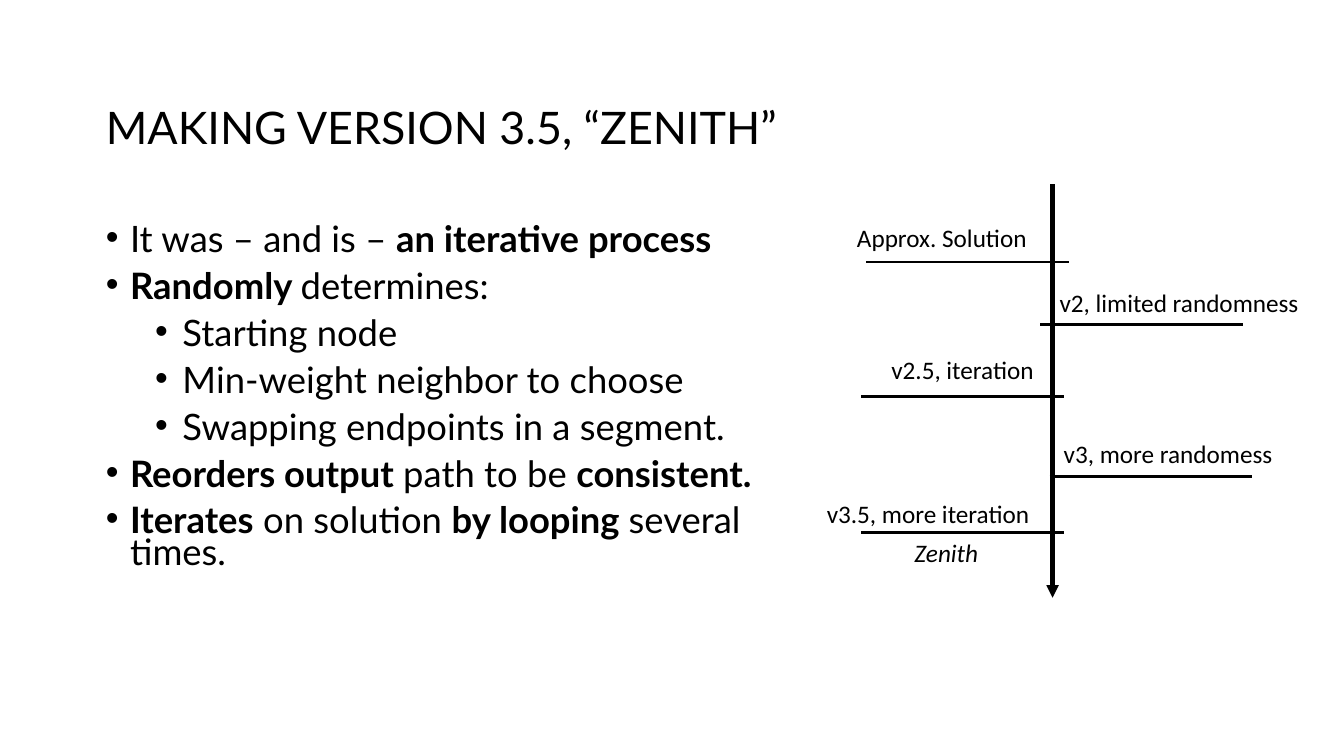
from lxml.etree import SubElement
from pptx import Presentation
from pptx.dml.color import RGBColor
from pptx.enum.shapes import MSO_CONNECTOR
from pptx.enum.text import MSO_ANCHOR
from pptx.oxml.ns import qn
from pptx.util import Inches, Pt

TITLE = "MAKING VERSION 3.5, “ZENITH”"

# (level, runs), each run being (text, bold)
BULLETS = [
    (0, [("It was – and is – ", False), ("an iterative process", True)]),
    (0, [("Randomly ", True), ("determines:", False)]),
    (1, [("Starting node", False)]),
    (1, [("Min-weight neighbor to choose", False)]),
    (1, [("Swapping endpoints in a segment.", False)]),
    (0, [("Reorders output ", True), ("path to be ", False), ("consistent.", True)]),
    (0, [("Iterates", True), (" on solution ", False), ("by looping ", True),
         ("several times.", False)]),
]

# (label, label left, label top, label width, tick left, tick height on the axis)
MILESTONES = [
    ("Approx. Solution", 8.45, 2.16, 2.1, 8.59, 2.6),
    ("v2, limited randomness", 10.46, 2.8, 2.77, 10.32, 3.22),
    ("v2.5, iteration", 8.79, 3.47, 1.75, 8.54, 3.93),
    ("v3, more randomess", 10.5, 4.3, 2.45, 10.41, 4.73),
    ("v3.5, more iteration", 8.15, 4.89, 2.45, 8.54, 5.28),
]
CODENAME = ("Zenith", 9.02, 5.28, 0.83)

AXIS_X, AXIS_TOP, AXIS_BOTTOM = 10.44, 1.83, 5.93
TICK_LENGTH = 2.01
LABEL_HEIGHT = 0.36
INDENTS = [(0.24, -0.24), (0.76, -0.27)]  # left margin and first line, by level
INK = "000000"
HEADING = {"name": "Lato", "size": Pt(32)}
BODY = {"name": "Lato", "size": Pt(26)}
LABEL = {"name": "Calibri", "size": Pt(18)}


def color(hex_value):
    return RGBColor.from_string(hex_value)


def add_frame(slide, left, top, width, height, anchor=MSO_ANCHOR.TOP):
    """Add a wrapping text box with narrow margins and return its text frame."""
    frame = slide.shapes.add_textbox(*map(Inches, (left, top, width, height))).text_frame
    frame.word_wrap = True
    frame.vertical_anchor = anchor
    for side in ("left", "top", "right", "bottom"):
        setattr(frame, f"margin_{side}", Inches(0.05))
    return frame


def add_run(paragraph, text, **font_format):
    run = paragraph.add_run()
    run.text = text
    for attribute, value in font_format.items():
        setattr(run.font, attribute, value)
    run.font.color.rgb = color(INK)


def set_bullet(paragraph, level):
    margin, first_line = INDENTS[level]
    paragraph.level = level
    properties = paragraph._p.get_or_add_pPr()
    properties.set("marL", str(Inches(margin)))
    properties.set("indent", str(Inches(first_line)))
    SubElement(properties, qn("a:buFont")).set("typeface", "Arial")
    SubElement(properties, qn("a:buChar")).set("char", "•")


def add_line(slide, start, end, width, arrow=False):
    line = slide.shapes.add_connector(
        MSO_CONNECTOR.STRAIGHT, *map(Inches, (*start, *end)))
    line.line.color.rgb = color(INK)
    line.line.width = Pt(width)
    if arrow:
        SubElement(line.line._get_or_add_ln(), qn("a:tailEnd")).set("type", "triangle")
    SubElement(line._element.spPr, qn("a:effectLst"))


def add_label(slide, text, left, top, width, **emphasis):
    frame = add_frame(slide, left, top, width, LABEL_HEIGHT)
    add_run(frame.paragraphs[0], text, **LABEL, **emphasis)


def main():
    deck = Presentation()
    deck.slide_width, deck.slide_height = Inches(13.33), Inches(7.5)
    slide = deck.slides.add_slide(deck.slide_layouts[6])

    heading = add_frame(slide, 1, 0.4, 11.42, 1.77, MSO_ANCHOR.MIDDLE).paragraphs[0]
    heading.line_spacing = 0.9
    add_run(heading, TITLE, **HEADING)

    body = add_frame(slide, 1, 2.21, 7.01, 3.92)
    for index, (level, runs) in enumerate(BULLETS):
        bullet = body.add_paragraph() if index else body.paragraphs[0]
        bullet.line_spacing = 0.72
        bullet.space_before = Pt(11)
        set_bullet(bullet, level)
        for text, bold in runs:
            add_run(bullet, text, bold=bold, **BODY)

    for text, left, top, width, tick_left, tick_y in MILESTONES:
        add_line(slide, (tick_left, tick_y), (tick_left + TICK_LENGTH, tick_y), 2)
        add_label(slide, text, left, top, width)
    add_label(slide, *CODENAME, italic=True)
    add_line(slide, (AXIS_X, AXIS_TOP), (AXIS_X, AXIS_BOTTOM), 3, arrow=True)

    deck.save("out.pptx")


if __name__ == "__main__":
    main()
